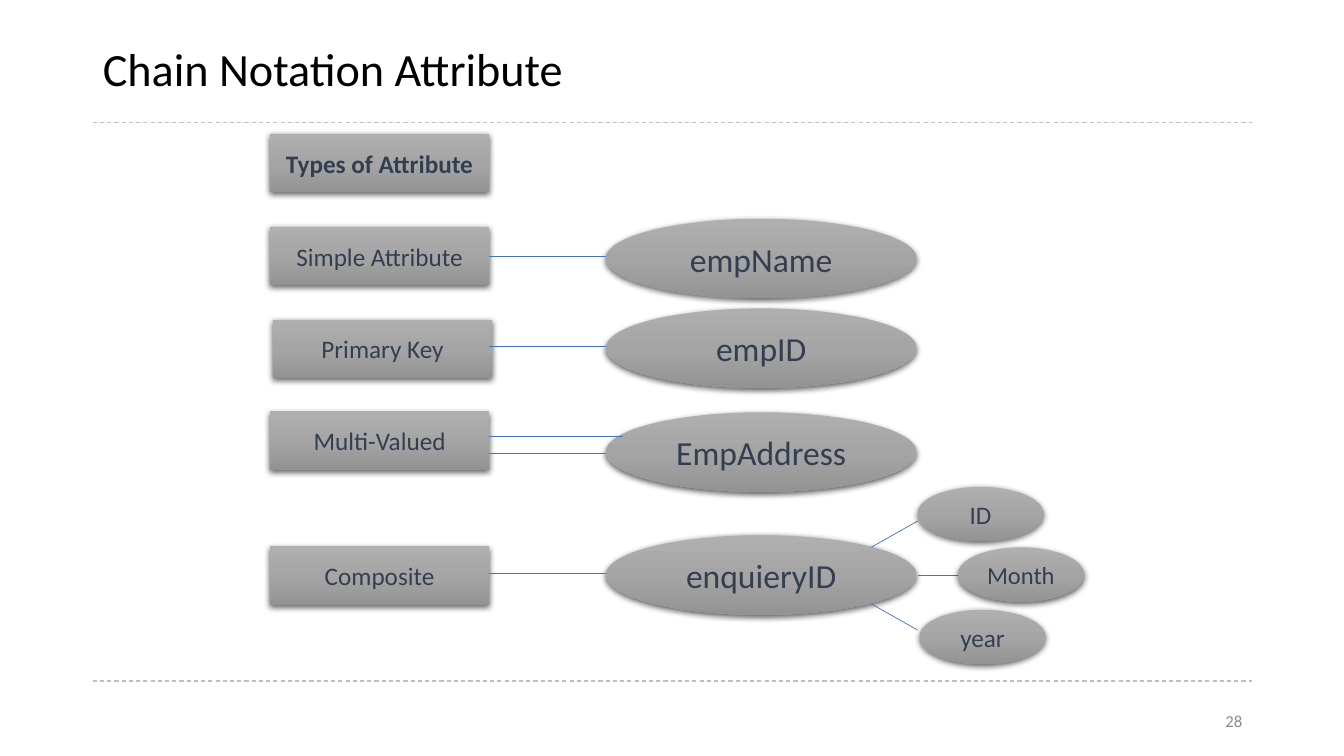
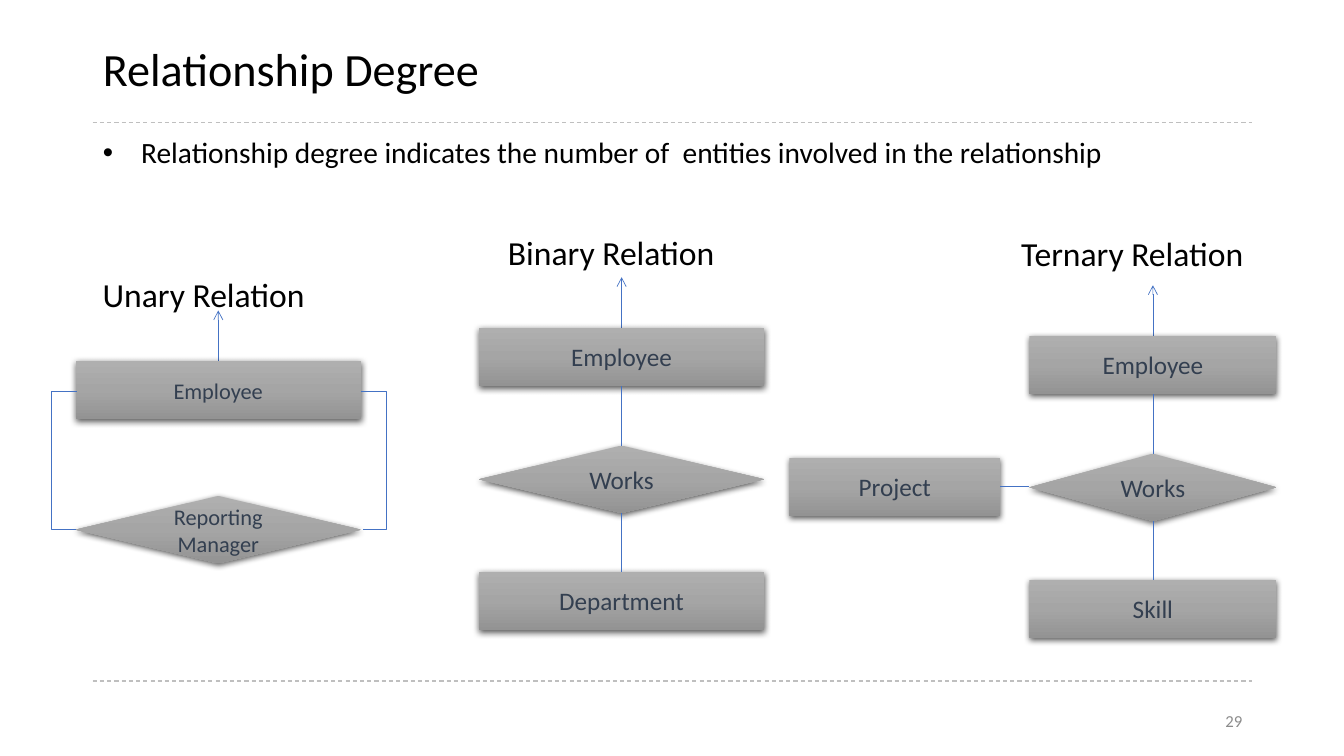
from dataclasses import dataclass

from pptx import Presentation
from pptx.dml.color import RGBColor
from pptx.enum.dml import MSO_LINE
from pptx.enum.shapes import MSO_CONNECTOR, MSO_SHAPE
from pptx.enum.text import MSO_ANCHOR, MSO_AUTO_SIZE, PP_ALIGN
from pptx.oxml import parse_xml
from pptx.oxml.ns import nsdecls, qn
from pptx.oxml.xmlchemy import OxmlElement
from pptx.util import Inches, Pt

RECTANGLE = MSO_SHAPE.RECTANGLE
OVAL = MSO_SHAPE.OVAL
DIAMOND = MSO_SHAPE.DIAMOND
STRAIGHT = MSO_CONNECTOR.STRAIGHT
ELBOW = MSO_CONNECTOR.ELBOW
DASH = MSO_LINE.DASH
MIDDLE = MSO_ANCHOR.MIDDLE
TOP = MSO_ANCHOR.TOP
NO_FIT = MSO_AUTO_SIZE.NONE
LEFT = PP_ALIGN.LEFT
CENTER = PP_ALIGN.CENTER
RIGHT = PP_ALIGN.RIGHT


@dataclass(frozen=True)
class Theme:
    font: str = "Calibri"
    text: str = "000000"
    node_text: str = "333F50"
    node_stops: tuple = ((0, "AFAFAF"), (50, "A5A5A5"), (100, "939393"))
    link: str = "4472C4"
    rule: str = "BFBFBF"
    number: str = "8C8C8C"
    title_size: float = 33
    body_size: float = 21
    large_size: float = 24
    node_size: float = 18
    small_size: float = 16
    number_size: float = 12
    link_width: float = 0.5
    rule_width: float = 0.75


THEME = Theme()
MARGIN = 0.92
CONTENT_WIDTH = 11.5
BOX_HEIGHT = 0.58
DIAMOND_HEIGHT = 0.67
ARROW_LENGTH = 0.5


def write(shape, text, size, color, align=LEFT, anchor=MIDDLE, bold=False):
    frame = shape.text_frame
    frame.text = text
    frame.word_wrap = True
    frame.auto_size = NO_FIT
    frame.vertical_anchor = anchor
    paragraph = frame.paragraphs[0]
    paragraph.alignment = align
    font = paragraph.runs[0].font
    font.name = THEME.font
    font.size = Pt(size)
    font.bold = bold
    font.color.rgb = RGBColor.from_string(color)
    return paragraph


def place(shape, left, top, width, height):
    shape.left, shape.top = Inches(left), Inches(top)
    shape.width, shape.height = Inches(width), Inches(height)


def add_label(slide, text, box, size, color, align=LEFT, anchor=TOP):
    label = slide.shapes.add_textbox(*map(Inches, box))
    write(label, text, size, color, align, anchor)


def add_line(slide, start, end, color=THEME.link, width=THEME.link_width,
             kind=STRAIGHT):
    line = slide.shapes.add_connector(kind, *map(Inches, start + end))
    line.line.color.rgb = RGBColor.from_string(color)
    line.line.width = Pt(width)
    line.element.spPr.append(OxmlElement("a:effectLst"))
    return line


def add_arrow(slide, start, end):
    arrow = add_line(slide, start, end)
    head = OxmlElement("a:tailEnd")
    head.set("type", "arrow")
    arrow.line._get_or_add_ln().append(head)


def add_loop(slide, start, end, reach):
    loop = add_line(slide, start, end, kind=ELBOW)
    guide = OxmlElement("a:gd")
    guide.set("name", "adj1")
    ratio = reach / (end[0] - start[0])
    guide.set("fmla", f"val {round(ratio * 100000)}")
    geometry = loop.element.spPr.find(qn("a:prstGeom"))
    geometry.get_or_add_avLst().append(guide)


def add_node(slide, kind, text, box, size=THEME.node_size, bold=False):
    node = slide.shapes.add_shape(kind, *map(Inches, box))
    node.line.fill.background()
    stops = "".join(
        f'<a:gs pos="{position * 1000}"><a:srgbClr val="{color}"/></a:gs>'
        for position, color in THEME.node_stops)
    properties = node.element.spPr
    properties.find(qn("a:prstGeom")).addnext(parse_xml(
        f'<a:gradFill {nsdecls("a")} rotWithShape="1"><a:gsLst>{stops}</a:gsLst>'
        '<a:lin ang="5400000" scaled="0"/></a:gradFill>'))
    properties.append(parse_xml(
        f'<a:effectLst {nsdecls("a")}>'
        f'<a:outerShdw blurRad="{Pt(4.5)}" dist="{Pt(1.5)}" dir="5400000"'
        ' algn="ctr" rotWithShape="0"><a:srgbClr val="000000">'
        '<a:alpha val="63000"/></a:srgbClr></a:outerShdw></a:effectLst>'))
    frame = node.text_frame
    frame.margin_left = frame.margin_right = 0
    write(node, text, size, THEME.node_text, CENTER, bold=bold)


def add_master_rules(presentation, slide):
    for top in (1.22, 6.75, 6.76):
        rule = add_line(slide, (MARGIN, top), (MARGIN + CONTENT_WIDTH, top),
                        THEME.rule, THEME.rule_width)
        rule.line.dash_style = DASH
        presentation.slide_master.shapes.element.append(rule.element)


def add_slide(presentation, layout, title, number):
    slide = presentation.slides.add_slide(presentation.slide_layouts[layout])
    place(slide.shapes.title, MARGIN, 0.21, CONTENT_WIDTH, 1)
    paragraph = write(slide.shapes.title, title, THEME.title_size, THEME.text)
    paragraph.line_spacing = 0.9
    add_label(slide, str(number), (9.42, 6.95, 3, 0.4), THEME.number_size,
              THEME.number, RIGHT, MIDDLE)
    return slide


def fill_body(slide, text):
    body = slide.placeholders[1]
    place(body, MARGIN, 1.32, CONTENT_WIDTH, 5.43)
    paragraph = write(body, text, THEME.body_size, THEME.text, anchor=TOP)
    paragraph.line_spacing = 0.9
    paragraph.space_before = Pt(7.5)
    properties = paragraph._p.get_or_add_pPr()
    properties.set("marL", str(Inches(0.38)))
    properties.set("indent", str(-Inches(0.38)))
    bullet = OxmlElement("a:buChar")
    bullet.set("char", "•")
    properties.append(bullet)


def draw_attribute_types(slide, left, top):
    width, oval_left, oval_width, oval_height = 2.17, left + 3.33, 3.08, 0.79
    add_node(slide, RECTANGLE, "Types of Attribute",
             (left, top, width, BOX_HEIGHT), bold=True)
    rows = (
        ("Simple Attribute", 0, 0.92, "empName", 0.84, ((1.21, 0),)),
        ("Primary Key", 0.03, 1.84, "empID", 1.73, ((2.11, 0),)),
        ("Multi-Valued", 0, 2.75, "EmpAddress", 2.76, ((3, 0.17), (3.17, 0))),
        ("Composite", 0, 4.09, "enquieryID", 3.98, ((4.36, 0),)),
    )
    for label, shift, box_top, example, oval_top, links in rows:
        add_node(slide, RECTANGLE, label,
                 (left + shift, top + box_top, width, BOX_HEIGHT))
        add_node(slide, OVAL, example,
                 (oval_left, top + oval_top, oval_width, oval_height),
                 THEME.large_size)
        for height, overlap in links:
            add_line(slide, (left + width, top + height),
                     (oval_left + overlap, top + height))


def draw_composite_parts(slide, left, top):
    parts = (
        ("ID", 0.46, 0, THEME.node_size, (0, 0.6), (0.46, 0.34)),
        ("Month", 0.86, 0.6, 17.5, (0.46, 0.88), (0.87, 0.88)),
        ("year", 0.48, 1.22, THEME.node_size, (0, 1.16), (0.46, 1.42)),
    )
    for text, x, y, size, start, end in parts:
        add_line(slide, (left + start[0], top + start[1]),
                 (left + end[0], top + end[1]))
        add_node(slide, OVAL, text, (left + x, top + y, 1.25, 0.54), size)


def draw_heading(slide, text, label_left, label_top, center, box_top):
    add_label(slide, text, (label_left, label_top, 2.44, 0.5),
              THEME.large_size, THEME.text)
    add_arrow(slide, (center, box_top), (center, box_top - ARROW_LENGTH))


def draw_unary(slide, left, top, width):
    diamond_top = top + 1.34
    right = left + width
    draw_heading(slide, "Unary Relation", left + 0.17, top - 0.91,
                 left + width / 2, top)
    add_node(slide, RECTANGLE, "Employee", (left, top, width, BOX_HEIGHT),
             THEME.small_size)
    add_node(slide, DIAMOND, "Reporting Manager",
             (left, diamond_top, width, DIAMOND_HEIGHT), THEME.small_size)
    loop_top, loop_bottom = top + 0.3, diamond_top + DIAMOND_HEIGHT / 2
    add_loop(slide, (right, loop_top), (right + 0.02, loop_bottom), 0.25)
    add_loop(slide, (left + 0.01, loop_top), (left, loop_bottom), -0.25)


def draw_chain(slide, heading, label_left, label_top, box, target):
    left, top, width = box
    center = left + width / 2
    diamond_top, target_top = top + 1.17, top + 2.42
    draw_heading(slide, heading, label_left, label_top, center, top)
    add_node(slide, RECTANGLE, "Employee", (left, top, width, BOX_HEIGHT))
    add_node(slide, DIAMOND, "Works",
             (left, diamond_top, width, DIAMOND_HEIGHT))
    add_node(slide, RECTANGLE, target, (left, target_top, width, BOX_HEIGHT))
    for start, end in ((top + BOX_HEIGHT, diamond_top),
                       (diamond_top + DIAMOND_HEIGHT, target_top)):
        add_line(slide, (center, start), (center, end))


def draw_side_entity(slide, text, left, middle, width, link_end):
    add_node(slide, RECTANGLE, text,
             (left, middle - BOX_HEIGHT / 2, width, BOX_HEIGHT))
    add_line(slide, (link_end, middle), (left + width, middle))


def build_attribute_slide(presentation):
    slide = add_slide(presentation, 5, "Chain Notation Attribute", 28)
    add_master_rules(presentation, slide)
    draw_attribute_types(slide, 2.68, 1.33)
    draw_composite_parts(slide, 8.64, 4.83)


def build_degree_slide(presentation):
    slide = add_slide(presentation, 1, "Relationship Degree", 29)
    fill_body(slide, "Relationship degree indicates the number of  entities "
                     "involved in the relationship")
    draw_unary(slide, 0.75, 3.58, 2.83)
    draw_chain(slide, "Binary Relation", 4.94, 2.25, (4.75, 3.25, 2.83),
               "Department")
    draw_chain(slide, "Ternary Relation", 10.03, 2.26, (10.21, 3.33, 2.45),
               "Skill")
    draw_side_entity(slide, "Project", 7.83, 4.83, 2.09, 10.21)


def main():
    presentation = Presentation()
    presentation.slide_width = Inches(13.33)
    presentation.slide_height = Inches(7.5)
    build_attribute_slide(presentation)
    build_degree_slide(presentation)
    presentation.save("out.pptx")


if __name__ == "__main__":
    main()
